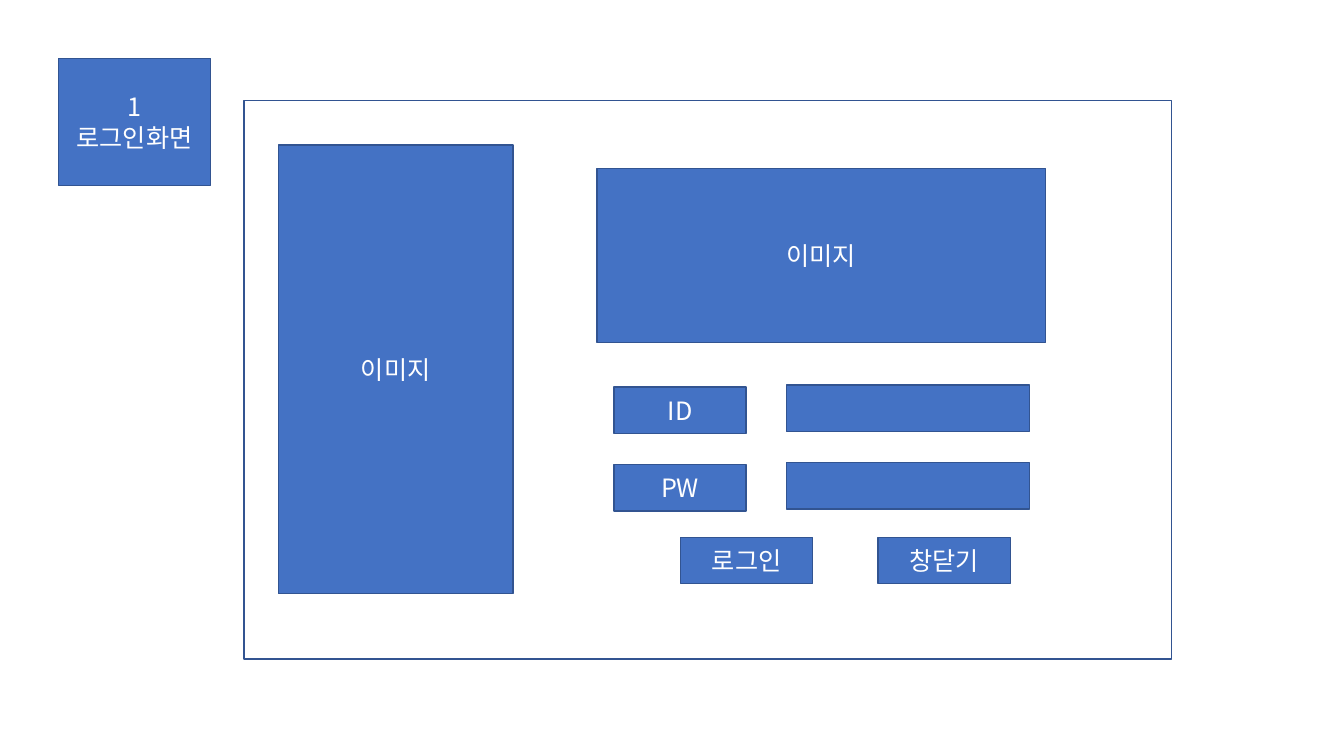
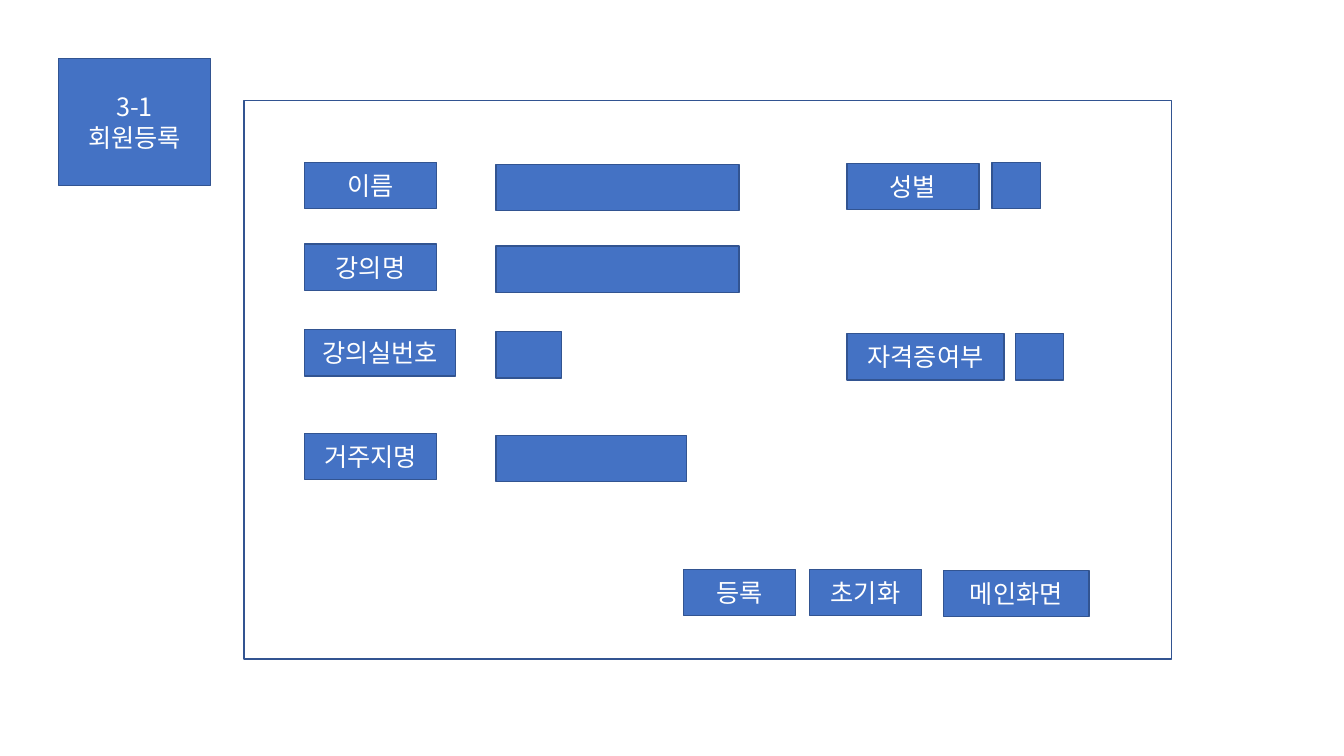
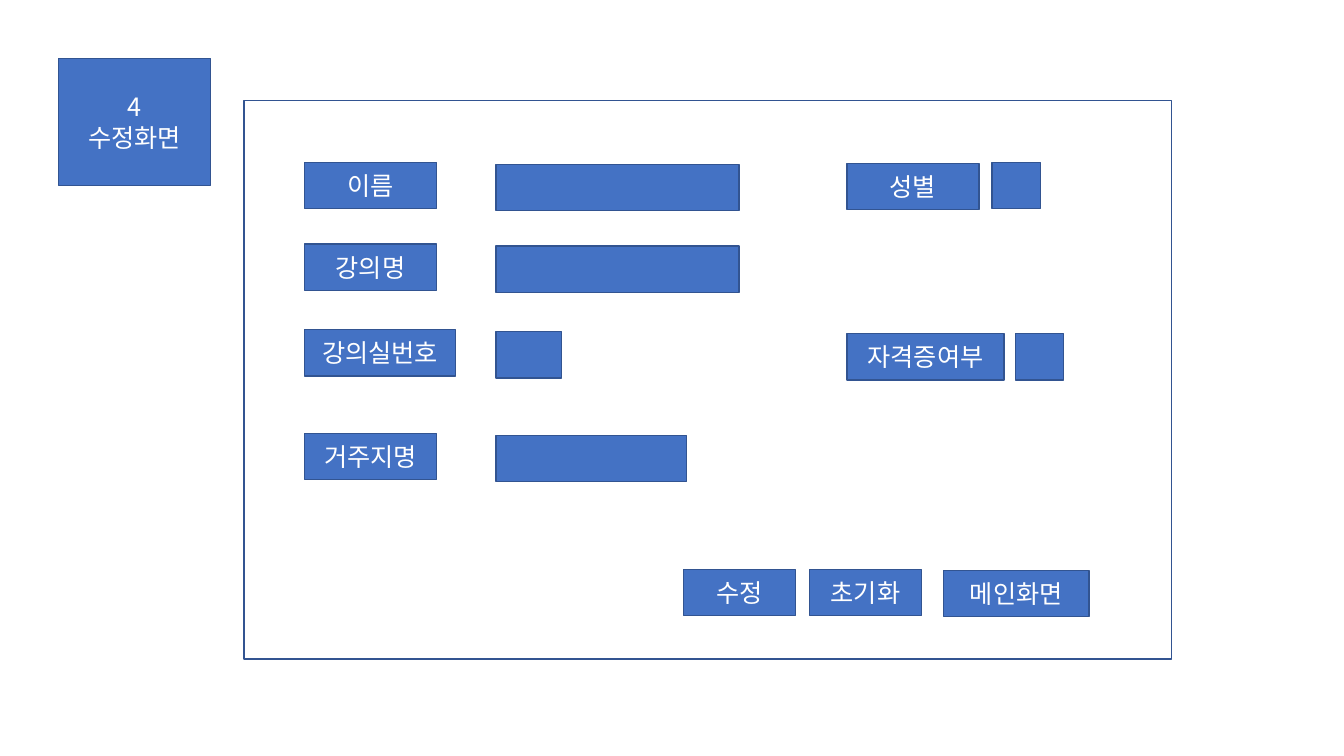
"""Wireframes of a login screen and two member forms."""
from dataclasses import dataclass

import pptx
import pptx.dml.color
import pptx.enum.shapes
import pptx.enum.text
import pptx.oxml
import pptx.oxml.ns
import pptx.presentation
import pptx.shapes.autoshape
import pptx.slide
import pptx.text.text
import pptx.util

BLUE = pptx.dml.color.RGBColor(0x44, 0x72, 0xC4)
NAVY = pptx.dml.color.RGBColor(0x32, 0x54, 0x91)
WHITE = pptx.dml.color.RGBColor(0xFF, 0xFF, 0xFF)
FONT = "Noto Sans CJK KR"
TITLE_ONLY = 5

CONTROL_HEIGHT = 0.46
LABEL_WIDTH = 1.31
FIELD_WIDTH = 2.41
CHECK_WIDTH = 0.48


@dataclass(frozen=True)
class Box:
    """A rectangle of the wireframe, in inches."""
    left: float
    top: float
    width: float
    height: float = CONTROL_HEIGHT
    text: str = ""
    filled: bool = True


@dataclass(frozen=True)
class FormRow:
    """A label with its input field."""
    text: str
    top: float
    label_width: float
    field_width: float


SCREEN_TAG = Box(0.58, 0.58, 1.51, 1.26)
WINDOW = Box(2.42, 1, 9.2, 5.54, filled=False)

FORM_ROWS = (
    FormRow("이름", 1.61, LABEL_WIDTH, FIELD_WIDTH),
    FormRow("강의명", 2.42, LABEL_WIDTH, FIELD_WIDTH),
    FormRow("강의실번호", 3.27, 1.5, 0.65),
    FormRow("거주지명", 4.3, LABEL_WIDTH, 1.89),
)


def style_text(frame: pptx.text.text.TextFrame, text: str) -> None:
    """Write centred white text in the shared font."""
    frame.text = text
    frame.word_wrap = True
    frame.auto_size = pptx.enum.text.MSO_AUTO_SIZE.NONE
    frame.vertical_anchor = pptx.enum.text.MSO_ANCHOR.MIDDLE
    for paragraph in frame.paragraphs:
        paragraph.alignment = pptx.enum.text.PP_ALIGN.CENTER
        for run in paragraph.runs:
            run.font.size = pptx.util.Pt(18)
            run.font.name = FONT
            run.font.color.rgb = WHITE
            east_asian = pptx.oxml.parse_xml(
                f'<a:ea {pptx.oxml.ns.nsdecls("a")} typeface="{FONT}"/>')
            run.font._element.find(pptx.oxml.ns.qn("a:latin")).addnext(east_asian)


def style_box(shape: pptx.shapes.autoshape.Shape, box: Box) -> None:
    """Give a shape the fill, outline and text of its box."""
    if box.filled:
        shape.fill.solid()
        shape.fill.fore_color.rgb = BLUE
    else:
        shape.fill.background()
    shape.line.color.rgb = NAVY
    shape.line.width = pptx.util.Pt(1)
    if box.text:
        style_text(shape.text_frame, box.text)


def draw_box(slide: pptx.slide.Slide, box: Box) -> None:
    """Draw one rectangle."""
    shape = slide.shapes.add_shape(
        pptx.enum.shapes.MSO_SHAPE.RECTANGLE,
        *map(pptx.util.Inches, (box.left, box.top, box.width, box.height)))
    shape.shadow.inherit = False
    style_box(shape, box)


def add_screen(deck: pptx.presentation.Presentation, number: str, name: str,
               controls: list[Box]) -> None:
    """Add a slide with its screen tag, window and controls."""
    slide = deck.slides.add_slide(deck.slide_layouts[TITLE_ONLY])
    tag = slide.shapes.title
    tag.left, tag.top, tag.width, tag.height = map(
        pptx.util.Inches,
        (SCREEN_TAG.left, SCREEN_TAG.top, SCREEN_TAG.width, SCREEN_TAG.height))
    style_box(tag, SCREEN_TAG)
    style_text(tag.text_frame, f"{number}\n{name}")
    for box in (WINDOW, *controls):
        draw_box(slide, box)


def login_controls() -> list[Box]:
    """Return the images, credentials and buttons of the login screen."""
    controls = [Box(2.76, 1.44, 2.33, 4.45, "이미지"),
                Box(5.92, 1.67, 4.45, 1.73, "이미지")]
    for row, credential in enumerate(("ID", "PW")):
        top = 3.84 + 0.77 * row
        controls += [Box(6.09, top, LABEL_WIDTH, text=credential),
                     Box(7.8, top - 0.02, FIELD_WIDTH)]
    controls += [Box(6.75, 5.33, LABEL_WIDTH, text="로그인"),
                 Box(8.71, 5.33, LABEL_WIDTH, text="창닫기")]
    return controls


def member_controls(action: str) -> list[Box]:
    """Return the member form, whose first button is the given action."""
    controls = []
    for row in FORM_ROWS:
        controls += [Box(3.02, row.top, row.label_width, text=row.text),
                     Box(4.92, row.top + 0.02, row.field_width)]
    controls += [
        Box(8.4, 1.62, LABEL_WIDTH, text="성별"),
        Box(9.84, 1.61, CHECK_WIDTH),
        Box(8.4, 3.31, 1.56, text="자격증여부"),
        Box(10.07, 3.31, CHECK_WIDTH),
        Box(6.78, 5.65, 1.11, text=action),
        Box(8.03, 5.65, 1.11, text="초기화"),
        Box(9.36, 5.66, 1.44, text="메인화면"),
    ]
    return controls


def main() -> None:
    """Build and save the three screens."""
    deck = pptx.Presentation()
    deck.slide_width = pptx.util.Inches(13.33)
    deck.slide_height = pptx.util.Inches(7.5)
    add_screen(deck, "1", "로그인화면", login_controls())
    add_screen(deck, "3-1", "회원등록", member_controls("등록"))
    add_screen(deck, "4", "수정화면", member_controls("수정"))
    deck.save("out.pptx")


main()
